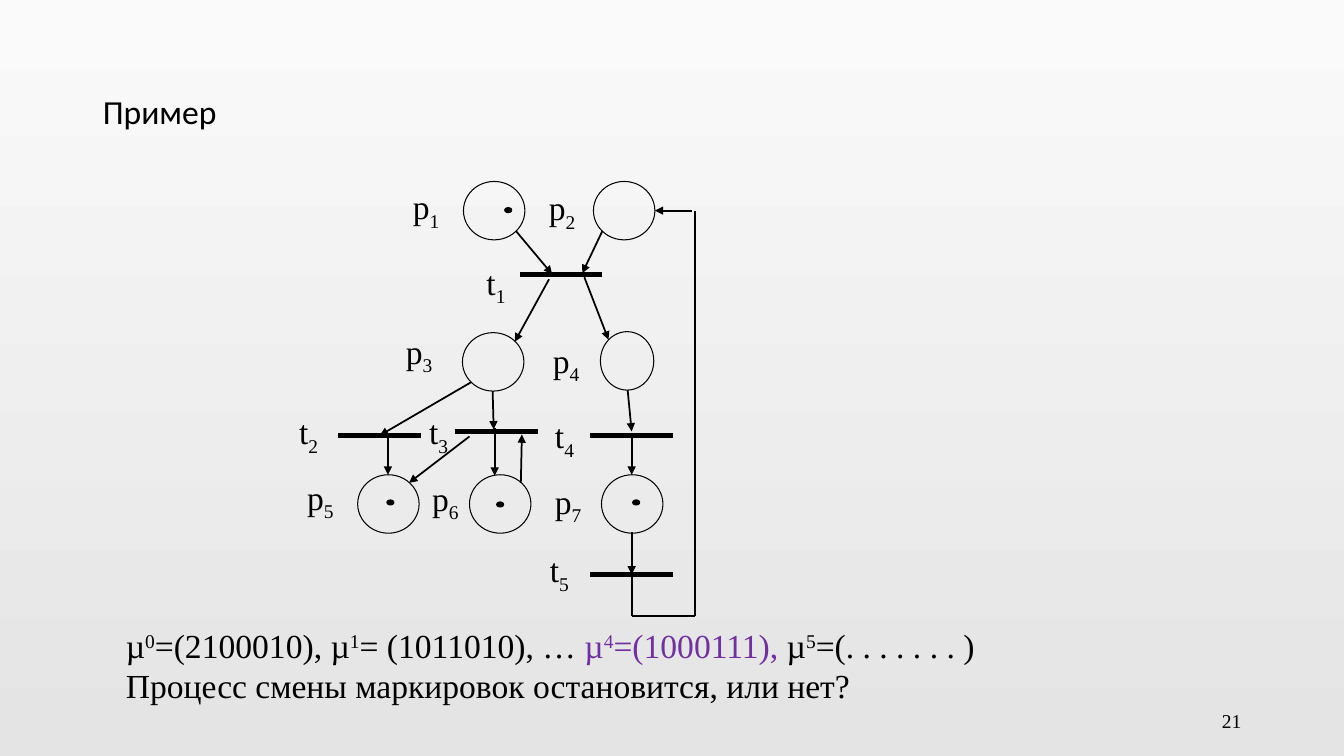
from pptx import Presentation
from pptx.dml.color import RGBColor
from pptx.enum.shapes import MSO_CONNECTOR, MSO_SHAPE
from pptx.enum.text import MSO_ANCHOR, PP_ALIGN
from pptx.oxml.ns import qn
from pptx.util import Pt
from lxml import etree

STRAIGHT = MSO_CONNECTOR.STRAIGHT
OVAL = MSO_SHAPE.OVAL
MIDDLE, TOP = MSO_ANCHOR.MIDDLE, MSO_ANCHOR.TOP
LEFT, RIGHT = PP_ALIGN.LEFT, PP_ALIGN.RIGHT

PX = 9144  # 100 px to the inch
SUPER, SUB = 30000, -25000
THEME = {
    "ink": RGBColor(0x00, 0x00, 0x00),
    "accent": RGBColor(0x70, 0x30, 0xA0),
    "backdrop": (RGBColor(0xFA, 0xFA, 0xFA), RGBColor(0xE4, 0xE4, 0xE4)),
    "title_font": "Calibri",
    "body_font": "Times New Roman",
    "body_size": Pt(24),
    "number_size": Pt(14),
    "outline": Pt(0.75),
    "arc": Pt(1.25),
    "bar": Pt(3.5),
}


def write(frame, lines, font, size, align=LEFT, anchor=TOP):
    """Fill a text frame; each line is a list of (text, baseline, colour)."""
    frame.word_wrap = True
    frame.vertical_anchor = anchor
    for index, line in enumerate(lines):
        para = frame.paragraphs[0] if index == 0 else frame.add_paragraph()
        para.alignment = align
        for text, baseline, colour in line:
            span = para.add_run()
            span.text = text
            span.font.name = font
            span.font.size = size
            span.font.color.rgb = THEME[colour]
            if baseline:
                span._r.get_or_add_rPr().set("baseline", str(baseline))


def draw_line(page, ends, width, arrow=False):
    connector = page.shapes.add_connector(STRAIGHT, *(value * PX for value in ends))
    connector.line.color.rgb = THEME["ink"]
    connector.line.width = width
    if arrow:
        etree.SubElement(connector.line._get_or_add_ln(), qn("a:tailEnd"), type="triangle")
    etree.SubElement(connector._element.spPr, qn("a:effectLst"))


deck = Presentation()
deck.slide_width, deck.slide_height = 1334 * PX, 750 * PX
page = deck.slides.add_slide(deck.slide_layouts[5])

# Background gradient, top to bottom
backdrop = page.background.fill
backdrop.gradient()
backdrop.gradient_angle = 270
for stop, colour in zip(backdrop.gradient_stops, THEME["backdrop"]):
    stop.color.rgb = colour

# Title
title = page.shapes.title
title.left, title.top, title.width, title.height = 92 * PX, 40 * PX, 1150 * PX, 145 * PX
write(title.text_frame, [[("Пример", 0, "ink")]],
      THEME["title_font"], THEME["body_size"], anchor=MIDDLE)
title.text_frame.paragraphs[0].line_spacing = 0.9

# Page number
number = page.shapes.add_textbox(942 * PX, 695 * PX, 300 * PX, 40 * PX)
write(number.text_frame, [[("21", 0, "ink")]],
      THEME["body_font"], THEME["number_size"], RIGHT, MIDDLE)

# Places (open circles) and tokens (filled dots): left, top, width, height
places = [(460, 180, 61, 58), (589, 180, 61, 58), (459, 330, 61, 58), (596, 329, 53, 58),
          (355, 471, 61, 58), (466, 471, 61, 58), (597, 471, 61, 58)]
tokens = [(left, top, 7, 5) for left, top in [(501, 206), (384, 496), (493, 498), (628, 496)]]
for at in places + tokens:
    circle = page.shapes.add_shape(OVAL, *(value * PX for value in at))
    circle.shadow.inherit = False
    circle.line.color.rgb = THEME["ink"]
    circle.line.width = THEME["outline"]
    if at in tokens:
        circle.fill.solid()
        circle.fill.fore_color.rgb = THEME["ink"]
    else:
        circle.fill.background()

# Transitions: thick bars t1 to t5
for left, y in [(516, 272), (336, 432), (452, 428), (586, 432), (586, 570)]:
    draw_line(page, (left, y, left + 82, y), THEME["bar"])

# Arcs between places and transitions
arcs = [
    (512, 229, 548, 272), (598, 229, 578, 271),                        # into t1
    (545, 277, 511, 339), (580, 275, 604, 337),                        # out of t1
    (468, 379, 377, 432), (489, 388, 490, 426), (623, 387, 627, 428),  # into t2, t3, t4
    (385, 432, 385, 471), (466, 433, 406, 479), (491, 425, 491, 472),  # into p5, p6
    (517, 479, 518, 431),                                              # p6 back to t3
    (627, 433, 627, 471), (627, 528, 627, 570),                        # t4, p7, t5
    (687, 209, 650, 209),                                              # return into p2
]
for arc in arcs:
    draw_line(page, arc, THEME["arc"], arrow=True)

# Return path from t5 up to p2
corners = [(627, 570), (627, 611), (690, 611), (690, 209)]
for start, end in zip(corners, corners[1:]):
    draw_line(page, start + end, THEME["arc"])

# Labels: letter, index, left, top
labels = [
    ("p", "1", 400, 180), ("p", "2", 535, 181), ("p", "3", 393, 323), ("p", "4", 539, 332),
    ("p", "5", 295, 468), ("p", "6", 419, 469), ("p", "7", 541, 472),
    ("t", "1", 473, 255), ("t", "2", 287, 403), ("t", "3", 416, 403),
    ("t", "4", 541, 407), ("t", "5", 536, 540),
]
for letter, index, left, top in labels:
    label = page.shapes.add_textbox(left * PX, top * PX, 52 * PX, 56 * PX)
    label.text_frame.margin_right = 0
    write(label.text_frame, [[(letter, 0, "ink"), (index, SUB, "ink")]],
          THEME["body_font"], THEME["body_size"])

# Sequence of markings and the question
markings = [
    ("µ", 0, "ink"), ("0", SUPER, "ink"), ("=(2100010), µ", 0, "ink"),
    ("1", SUPER, "ink"), ("= (1011010), … ", 0, "ink"),
    ("µ", 0, "accent"), ("4", SUPER, "accent"), ("=(1000111), ", 0, "accent"),
    ("µ", 0, "ink"), ("5", SUPER, "ink"), ("=(. . . . . . . )", 0, "ink"),
]
question = [("Процесс смены маркировок остановится, или нет?", 0, "ink")]
box = page.shapes.add_textbox(115 * PX, 615 * PX, 1079 * PX, 90 * PX)
write(box.text_frame, [markings, question], THEME["body_font"], THEME["body_size"])

deck.save("out.pptx")
